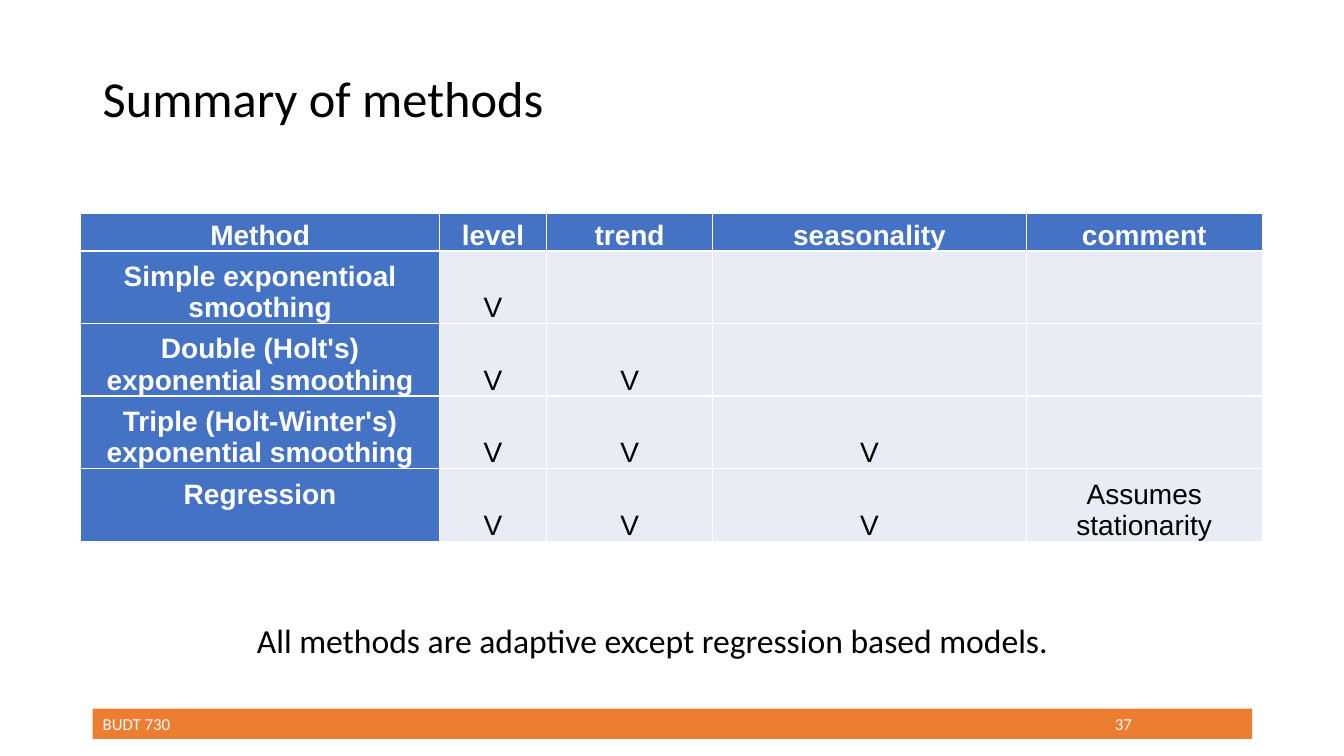
from dataclasses import dataclass

from lxml import etree
from pptx import Presentation
from pptx.dml.color import RGBColor
from pptx.enum.shapes import MSO_SHAPE
from pptx.enum.text import MSO_ANCHOR, PP_ALIGN
from pptx.oxml.ns import qn
from pptx.util import Inches, Pt

RECTANGLE = MSO_SHAPE.RECTANGLE
TOP, MIDDLE, BOTTOM = MSO_ANCHOR.TOP, MSO_ANCHOR.MIDDLE, MSO_ANCHOR.BOTTOM
LEFT, CENTER = PP_ALIGN.LEFT, PP_ALIGN.CENTER

WHITE, BLACK, ORANGE = "FFFFFF", "000000", "ED7D31"
HEADER_BLUE, BODY_BLUE = "4472C4", "E9EBF5"

COLUMN_WIDTHS = (3.56, 1.06, 1.65, 3.11, 2.34)
ROW_HEIGHTS = (0.37, 0.72, 0.72, 0.72, 0.72)
METHODS = (
    ("Method", "level", "trend", "seasonality", "comment"),
    ("Simple exponentioal smoothing", "V", "", "", ""),
    ("Double (Holt's) exponential smoothing", "V", "V", "", ""),
    ("Triple (Holt-Winter's) exponential smoothing", "V", "V", "V", ""),
    ("Regression", "V", "V", "V", "Assumes stationarity"),
)


@dataclass
class TextBox:
    text: str
    left: float
    top: float
    width: float
    height: float
    size: int
    anchor: MSO_ANCHOR = TOP
    wrap: bool = True
    line_spacing: float = 1.0


TEXT_BOXES = (
    TextBox("Summary of methods", 0.92, 0.4, 11.5, 1.21, 36, MIDDLE, line_spacing=0.9),
    TextBox("All methods are adaptive except regression based models.",
            2.45, 6.1, 8.13, 0.5, 24, wrap=False),
)


def rgb(color: str) -> RGBColor:
    return RGBColor.from_string(color)


def style_paragraph(paragraph, size: int, color: str, name: str = "Calibri",
                    bold: bool = False, alignment: PP_ALIGN = LEFT) -> None:
    paragraph.alignment = alignment
    font = paragraph.font
    font.name, font.size, font.bold = name, Pt(size), bold
    font.color.rgb = rgb(color)


def add_text_box(slide, box: TextBox) -> None:
    shape = slide.shapes.add_textbox(Inches(box.left), Inches(box.top),
                                     Inches(box.width), Inches(box.height))
    frame = shape.text_frame
    frame.word_wrap = box.wrap
    frame.vertical_anchor = box.anchor
    paragraph = frame.paragraphs[0]
    paragraph.text = box.text
    paragraph.line_spacing = box.line_spacing
    style_paragraph(paragraph, box.size, BLACK)


def add_footer(slide, course: str, page: str) -> None:
    bar = slide.shapes.add_shape(RECTANGLE, Inches(0.92), Inches(7.03),
                                 Inches(11.5), Inches(0.3))
    bar.shadow.inherit = False
    bar.fill.solid()
    bar.fill.fore_color.rgb = rgb(ORANGE)
    bar.line.fill.background()
    bar.text_frame.vertical_anchor = MIDDLE
    paragraph = bar.text_frame.paragraphs[0]
    paragraph.text = f"{course}\t{page}"
    style_paragraph(paragraph, 12, WHITE)
    # Tab stop for the page number, placed before the default run properties
    properties = paragraph._p.get_or_add_pPr()
    tab_list = etree.Element(qn("a:tabLst"))
    etree.SubElement(tab_list, qn("a:tab"), pos=str(Inches(10.04)), algn="l")
    properties.insert(0, tab_list)


def fill_cell(cell, text: str, is_header: bool) -> None:
    cell.fill.solid()
    cell.fill.fore_color.rgb = rgb(HEADER_BLUE if is_header else BODY_BLUE)
    cell.margin_left = cell.margin_right = cell.margin_top = Inches(0.01)
    cell.margin_bottom = 0
    cell.vertical_anchor = BOTTOM
    if text:
        paragraph = cell.text_frame.paragraphs[0]
        paragraph.text = text
        style_paragraph(paragraph, 20, WHITE if is_header else BLACK,
                        "Arial", is_header, CENTER)


def add_methods_table(slide) -> None:
    table = slide.shapes.add_table(
        len(METHODS), len(COLUMN_WIDTHS), Inches(0.8), Inches(2.12),
        Inches(sum(COLUMN_WIDTHS)), Inches(sum(ROW_HEIGHTS))).table
    for column, width in zip(table.columns, COLUMN_WIDTHS):
        column.width = Inches(width)
    for row, height in zip(table.rows, ROW_HEIGHTS):
        row.height = Inches(height)
    for row_index, texts in enumerate(METHODS):
        for column_index, text in enumerate(texts):
            fill_cell(table.cell(row_index, column_index), text,
                      row_index == 0 or column_index == 0)
    # The one-line method name lines up with the first line of its row
    regression = table.cell(len(METHODS) - 1, 0)
    regression.vertical_anchor = TOP
    regression.margin_top = Inches(0.1)


def main() -> None:
    presentation = Presentation()
    presentation.slide_width = Inches(13.33)
    presentation.slide_height = Inches(7.5)
    slide = presentation.slides.add_slide(presentation.slide_layouts[6])

    # Footer bar, table, then title and closing remark
    add_footer(slide, "BUDT 730", "37")
    add_methods_table(slide)
    for box in TEXT_BOXES:
        add_text_box(slide, box)

    presentation.save("out.pptx")


if __name__ == "__main__":
    main()
